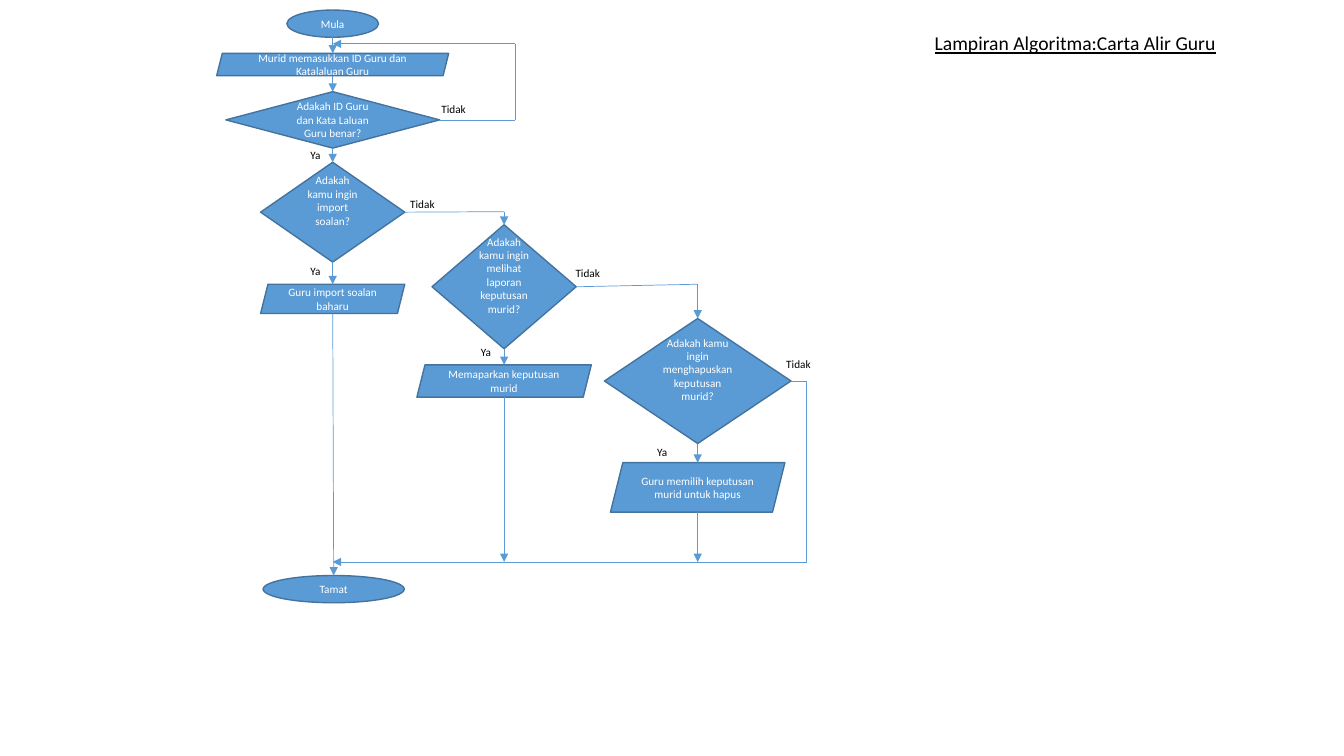
from dataclasses import dataclass
from itertools import pairwise
from typing import Any, NamedTuple

from lxml.etree import SubElement as Sub
from pptx import Presentation
from pptx.dml.color import RGBColor as Color
from pptx.enum.shapes import MSO_CONNECTOR as Wire, MSO_SHAPE as Kind
from pptx.enum.text import MSO_ANCHOR as Anchor, MSO_AUTO_SIZE as Fit, PP_ALIGN as Align
from pptx.oxml.ns import qn
from pptx.util import Inches, Pt


@dataclass(frozen=True)
class Theme:
    """Colours, type sizes and line widths of the slide."""
    face: str = "Calibri"
    fill: Color = Color.from_string("5B9BD5")
    edge: Color = Color.from_string("43739E")
    white: Color = Color.from_string("FFFFFF")
    black: Color = Color.from_string("000000")
    small: Pt = Pt(8)
    large: Pt = Pt(14)
    rim: Pt = Pt(1)
    thin: Pt = Pt(0.5)


class Node(NamedTuple):
    """A step of the chart, centred on a column."""
    kind: Kind
    col: float
    top: float
    wide: float
    high: float
    text: str
    lift: float = 0.0  # extra bottom inset that raises the text

    @property
    def base(self) -> float:
        """Bottom edge."""
        return self.top + self.high

    @property
    def mid(self) -> float:
        """Height of the side corners."""
        return self.top + self.high / 2

    @property
    def right(self) -> float:
        """Right corner."""
        return self.col + self.wide / 2


class Label(NamedTuple):
    """An answer next to a branch."""
    left: float
    top: float
    wide: float
    text: str


class Route(NamedTuple):
    """A chain of straight lines with an arrow at its end."""
    points: list[tuple[float, float]]


THEME = Theme()
COLS = (3.3, 5.0, 6.92)
A, B, C = COLS
OVAL, BOX, ASK = Kind.OVAL, Kind.PARALLELOGRAM, Kind.DIAMOND
LIFT = 0.23
JOIN = 5.575  # height of the line that gathers the branches
BACK = 0.435  # height of the line that loops back
TALL = 0.24

start = Node(OVAL, A, 0.1, 0.91, 0.27, "Mula")
login = Node(BOX, A, 0.53, 2.3, 0.22, "Murid memasukkan ID Guru dan Katalaluan Guru")
check = Node(ASK, A, 0.91, 2.12, 0.56, "Adakah ID Guru dan Kata Laluan Guru benar?")
ask_add = Node(ASK, A, 1.61, 1.43, 0.99, "Adakah kamu ingin import soalan?", LIFT)
add = Node(BOX, A, 2.82, 1.43, 0.29, "Guru import soalan baharu")
ask_see = Node(ASK, B, 2.23, 1.43, 1.23,
               "Adakah kamu ingin melihat laporan keputusan murid?", LIFT)
see = Node(BOX, B, 3.62, 1.73, 0.32, "Memaparkan keputusan murid")
ask_cut = Node(ASK, C, 3.16, 1.85, 1.24,
               "Adakah kamu ingin menghapuskan keputusan murid?", LIFT)
cut = Node(BOX, C, 4.59, 1.73, 0.49, "Guru memilih keputusan murid untuk hapus")
end = Node(OVAL, A + 0.01, 5.71, 1.4, 0.27, "Tamat")

MAIN = (start, login, check, ask_add, add, end)
SIDES = ((ask_see, see), (ask_cut, cut))
NODES = (*MAIN, *SIDES[0], *SIDES[1])

LABELS = (
    Label(4.28, 0.97, 0.54, "Tidak"), Label(2.98, 1.42, 0.54, "Ya"),
    Label(3.97, 1.91, 0.62, "Tidak"), Label(2.98, 2.57, 0.48, "Ya"),
    Label(5.61, 2.59, 0.7, "Tidak"), Label(4.67, 3.38, 0.81, "Ya"),
    Label(7.7, 3.5, 0.84, "Tidak"), Label(6.42, 4.37, 0.81, "Ya"),
)


def down(one: Node, two: Node) -> Route:
    """Lead from the bottom of one step to the top of the next."""
    return Route([(one.col, one.base), (two.col, two.top)])


def turn(one: Node, two: Node, level: float) -> Route:
    """Lead from the right corner of one step down to the next."""
    return Route([(one.right, one.mid), (two.col, level), (two.col, two.top)])


def loop(node: Node, edge: float, level: float) -> Route:
    """Lead from a right corner round an outer edge to the main column."""
    return Route([(node.right, node.mid), (edge, node.mid), (edge, level), (A, level)])


ROUTES = (
    *(down(one, two) for one, two in pairwise(MAIN)),
    *(down(one, two) for one, two in SIDES),
    *(Route([(two.col, two.base), (two.col, JOIN)]) for _, two in SIDES),
    turn(ask_add, ask_see, 2.1), turn(ask_see, ask_cut, 2.82),
    loop(check, 5.11, BACK), loop(ask_cut, 8.0, JOIN),
)


def style(item: Any, form: dict[str, Any]) -> None:
    """Set attributes from a dict of format values."""
    for name, value in form.items():
        setattr(item, name, value)


def write(frame: Any, text: str, form: dict[str, Any], align: Align = Align.LEFT) -> None:
    """Put one formatted paragraph into a text frame."""
    frame.word_wrap = True
    para = frame.paragraphs[0]
    para.alignment = align
    run = para.add_run()
    run.text = text
    style(run.font, {"name": THEME.face, "size": THEME.small, **form})


def draw_node(shapes: Any, node: Node) -> None:
    """Draw a step with its text."""
    shape = shapes.add_shape(node.kind, Inches(node.col - node.wide / 2),
                             Inches(node.top), Inches(node.wide), Inches(node.high))
    shape.shadow.inherit = False
    shape.fill.solid()
    shape.fill.fore_color.rgb = THEME.fill
    shape.line.color.rgb = THEME.edge
    shape.line.width = THEME.rim
    frame = shape.text_frame
    style(frame, {"vertical_anchor": Anchor.MIDDLE,
                  "margin_bottom": Inches(0.05 + node.lift)})
    write(frame, node.text, {}, Align.CENTER)
    frame.paragraphs[0].runs[0].font.color.rgb = THEME.white


def draw_label(shapes: Any, label: Label) -> None:
    """Draw an answer."""
    box = shapes.add_textbox(Inches(label.left), Inches(label.top),
                             Inches(label.wide), Inches(TALL))
    write(box.text_frame, label.text, {})
    box.text_frame.paragraphs[0].runs[0].font.color.rgb = THEME.black


def draw_route(shapes: Any, route: Route) -> None:
    """Draw the lines of a route, the last one with an arrowhead."""
    for one, two in pairwise(route.points):
        wire = shapes.add_connector(Wire.STRAIGHT, *map(Inches, (*one, *two)))
        wire.line.color.rgb = THEME.fill
        wire.line.width = THEME.thin
        props = wire._element.spPr
        Sub(props, qn("a:effectLst"))
    Sub(props.find(qn("a:ln")), qn("a:tailEnd"), type="triangle")


def draw_title(title: Any, text: str) -> None:
    """Place and format the title."""
    style(title, {"left": Inches(9.17), "top": Inches(0.26),
                  "width": Inches(4.07), "height": Inches(0.34)})
    style(title.text_frame, {"vertical_anchor": Anchor.TOP, "auto_size": Fit.NONE})
    write(title.text_frame, text, {"size": THEME.large, "underline": True})
    title.text_frame.paragraphs[0].runs[0].font.color.rgb = THEME.black


deck = Presentation()
style(deck, {"slide_width": Inches(13.33), "slide_height": Inches(7.5)})
slide = deck.slides.add_slide(deck.slide_layouts[5])
draw_title(slide.shapes.title, "Lampiran Algoritma:Carta Alir Guru")
for draw, items in ((draw_node, NODES), (draw_route, ROUTES), (draw_label, LABELS)):
    for item in items:
        draw(slide.shapes, item)
deck.save("out.pptx")
